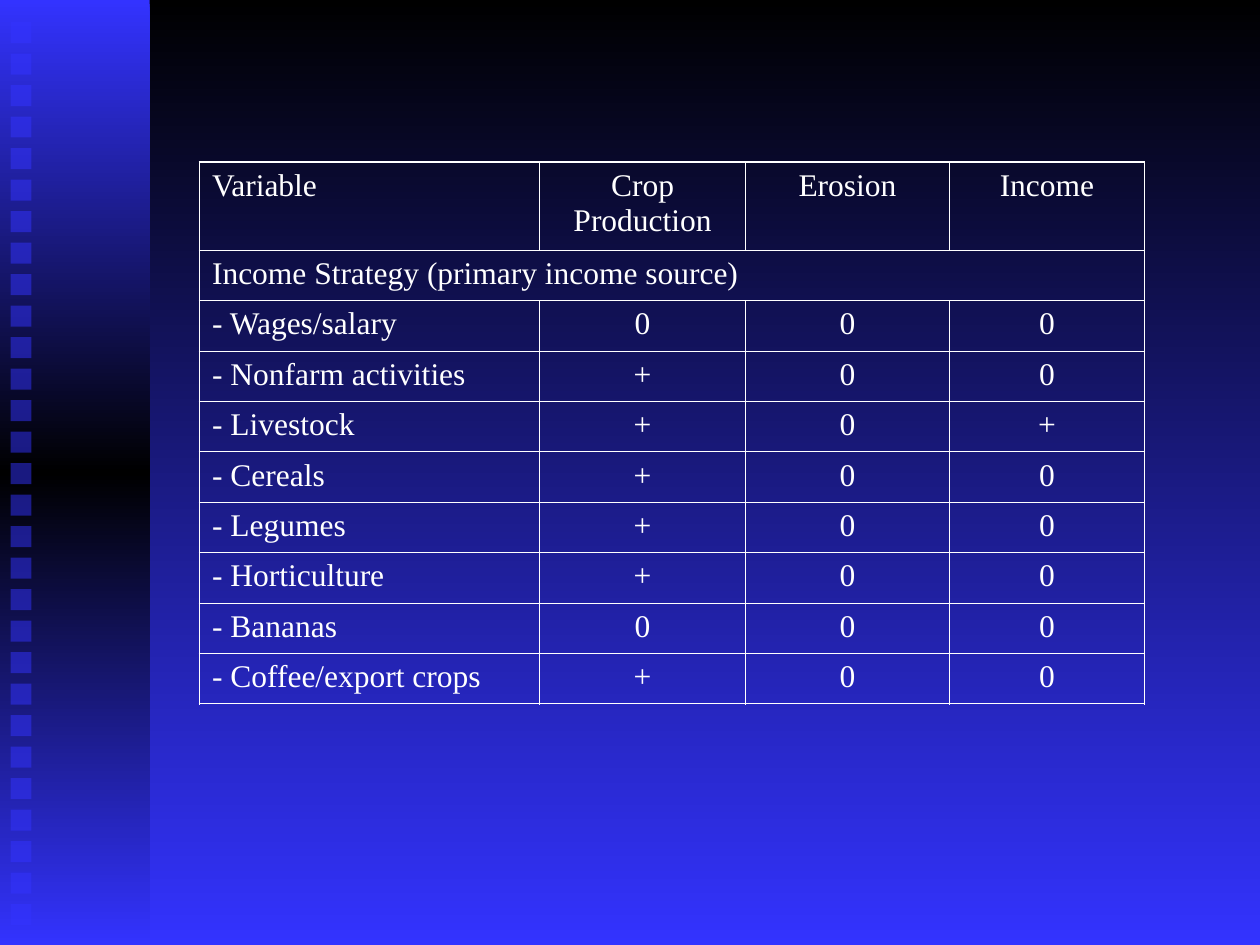
from copy import deepcopy
from dataclasses import dataclass

from lxml import etree
from pptx import Presentation
from pptx.dml.color import RGBColor
from pptx.enum import shapes, text
from pptx.oxml import ns
from pptx.util import Pt


@dataclass(frozen=True)
class Theme:
    blue: str = "3333FF"
    black: str = "000000"
    white: str = "FFFFFF"
    font: str = "Times New Roman"
    size: float = 18
    thin: float = 0.45
    thick: float = 1.08


THEME = Theme()
COLS = [194.4, 117.6, 116.6, 111.4]
HEAD, ROW = 50.4, 28.8
ROWS = [
    ["Variable", "Crop Production", "Erosion", "Income"],
    ["Income Strategy (primary income source)", "", "", ""],
    ["- Wages/salary", "0", "0", "0"],
    ["- Nonfarm activities", "+", "0", "0"],
    ["- Livestock", "+", "0", "+"],
    ["- Cereals", "+", "0", "0"],
    ["- Legumes", "+", "0", "0"],
    ["- Horticulture", "+", "0", "0"],
    ["- Bananas", "0", "0", "0"],
    ["- Coffee/export crops", "+", "0", "0"],
]


def shade(fill, node, hues):
    """Fill from top to bottom with evenly spaced colours."""
    fill.gradient()
    fill.gradient_angle = 270
    stops = node.xpath(".//a:gsLst")[0]
    while len(stops) < len(hues):
        stops.append(deepcopy(stops[0]))
    for i, (stop, hue) in enumerate(zip(fill.gradient_stops, hues)):
        stop.color.rgb = RGBColor.from_string(hue)
        stop.position = i / (len(hues) - 1)


def add_box(group, left, top, width, height):
    box = group.shapes.add_shape(
        shapes.MSO_SHAPE.RECTANGLE, Pt(left), Pt(top), Pt(width), Pt(height))
    box.shadow.inherit = False
    box.line.fill.background()
    return box


def add_band(page):
    """Side band with its column of half-clear squares."""
    group = page.shapes.add_group_shape()
    band = add_box(group, 0, 0, 85.5, 540)
    shade(band.fill, band.element, [THEME.blue, THEME.black, THEME.blue])
    for i in range(29):
        box = add_box(group, 6, 12.6 + 18 * i, 12, 12)
        box.fill.solid()
        box.fill.fore_color.rgb = RGBColor.from_string(THEME.blue)
        hue = box.element.spPr.xpath("./a:solidFill/a:srgbClr")[0]
        etree.SubElement(hue, ns.qn("a:alpha"), val="50000")


def set_edges(cell, outer):
    """Draw the cell's borders, thicker on the sides named in outer."""
    props = cell._tc.get_or_add_tcPr()
    for i, side in enumerate("LRTB"):
        width = THEME.thick if side in outer else THEME.thin
        line = etree.Element(ns.qn(f"a:ln{side}"), w=str(int(Pt(width))))
        paint = etree.SubElement(line, ns.qn("a:solidFill"))
        etree.SubElement(paint, ns.qn("a:srgbClr"), val=THEME.white)
        props.insert(i, line)


def set_cell(cell, words, center):
    cell.fill.background()
    para = cell.text_frame.paragraphs[0]
    para.text = words
    para.alignment = text.PP_ALIGN.CENTER if center else text.PP_ALIGN.LEFT
    for run in para.runs:
        run.font.name = THEME.font
        run.font.size = Pt(THEME.size)
        run.font.color.rgb = RGBColor.from_string(THEME.white)


def add_grid(page):
    last, end = len(ROWS) - 1, len(COLS) - 1
    frame = page.shapes.add_table(
        len(ROWS), len(COLS), Pt(114), Pt(92.5),
        Pt(sum(COLS)), Pt(HEAD + ROW * last))
    table = frame.table
    table.first_row = table.horz_banding = False
    for col, width in zip(table.columns, COLS):
        col.width = Pt(width)
    for r, words in enumerate(ROWS):
        table.rows[r].height = Pt(ROW if r else HEAD)
        for c, word in enumerate(words):
            cell = table.cell(r, c)
            set_cell(cell, word, c > 0)
            sides = {"L": c == 0, "R": c == end, "T": r == 0, "B": r == last}
            set_edges(cell, [side for side, on in sides.items() if on])
    # The section heading spans the whole row
    table.cell(1, 0).merge(table.cell(1, end))


def main():
    deck = Presentation()
    deck.slide_width, deck.slide_height = Pt(720), Pt(540)
    page = deck.slides.add_slide(deck.slide_layouts[6])
    # Backdrop
    shade(page.background.fill, page.element, [THEME.black, THEME.blue])
    add_band(page)
    # Results table
    add_grid(page)
    deck.save("out.pptx")


if __name__ == "__main__":
    main()
